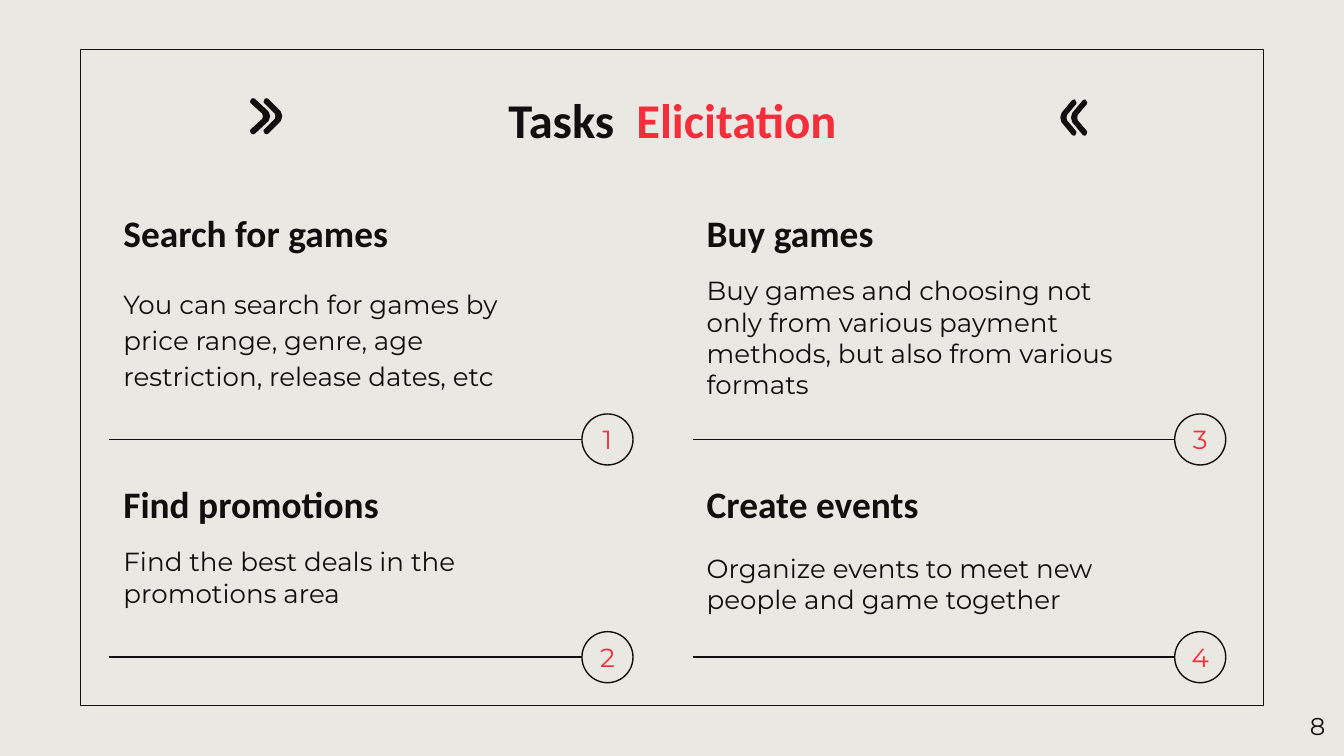
from pptx import Presentation
from pptx.dml.color import RGBColor as RGB
from pptx.enum.shapes import MSO_CONNECTOR as LINK, MSO_SHAPE as SHAPE
from pptx.enum.text import MSO_ANCHOR as ANCHOR, MSO_AUTO_SIZE as FIT, PP_ALIGN as ALIGN
from pptx.oxml.ns import qn
from pptx.util import Inches, Pt


class Theme:
    paper = RGB.from_string("E9E8E3")
    ink = RGB.from_string("100E0E")
    red = RGB.from_string("F52E3C")
    head = "Calibri"
    text = "Montserrat"
    title, sub, body, page = Pt(26), Pt(20), Pt(14), Pt(13)
    thin, thick = Pt(0.75), Pt(1.5)


def write(box, words, size, face, color=Theme.ink, bold=False,
          align=ALIGN.LEFT, anchor=ANCHOR.MIDDLE, space=1.0):
    frame = box.text_frame
    frame.word_wrap = True
    frame.auto_size = FIT.NONE
    frame.vertical_anchor = anchor
    frame.margin_left = frame.margin_right = Inches(0.1)
    frame.margin_top = frame.margin_bottom = Inches(0.1)
    para = frame.paragraphs[0]
    para.text = words
    para.alignment = align
    para.line_spacing = space
    font = para.font
    font.size, font.name, font.bold = size, face, bold
    font.color.rgb = color
    return para


def ink(shape, width=Theme.thin, fill=False):
    shape.shadow.inherit = False
    shape.line.color.rgb = Theme.ink
    shape.line.width = width
    if fill:
        shape.fill.solid()
        shape.fill.fore_color.rgb = Theme.ink
    else:
        shape.fill.background()


# Slide in 16:9
deck = Presentation()
deck.slide_width = Inches(10)
deck.slide_height = Inches(10 * 9 / 16)
slide = deck.slides.add_slide(deck.slide_layouts[5])
slide.background.fill.solid()
slide.background.fill.fore_color.rgb = Theme.paper
shapes = slide.shapes

# Frame
frame = shapes.add_shape(SHAPE.RECTANGLE, Inches(0.6), Inches(0.37), Inches(8.8), Inches(4.88))
ink(frame)

# Title in two colours
title = shapes.title
title.left, title.top = Inches(2.1), Inches(0.57)
title.width, title.height = Inches(5.81), Inches(0.63)
para = write(title, "Tasks  ", Theme.title, Theme.head, bold=True, align=ALIGN.CENTER)
run = para.add_run()
run.text = "Elicitation"
run.font.color.rgb = Theme.red

# Four tasks: number, column, row, heading, body, body box (top, width, height), spacing
tasks = [
    ("1", 0, 0, "Search for games",
     "You can search for games by price range, genre, age restriction, release dates, etc",
     (2.03, 3.17, 0.96), 1.15),
    ("2", 0, 1, "Find promotions",
     "Find the best deals in the promotions area",
     (4.03, 3.01, 0.53), 1.0),
    ("3", 1, 0, "Buy games",
     "Buy games and choosing not only from various payment methods, but also from various formats",
     (1.94, 3.52, 1.14), 1.0),
    ("4", 1, 1, "Create events",
     "Organize events to meet new people and game together",
     (3.99, 3.42, 0.7), 1.0),
]
lefts, starts, rings = (0.82, 5.16), (0.81, 5.16), (4.33, 8.74)
heads, rules = (1.44, 3.46), (3.27, 4.89)
ring = 0.38

for num, col, row, head, body, (top, wide, high), space in tasks:
    left, end, rule = lefts[col], rings[col], rules[row]

    # Heading and body
    box = shapes.add_textbox(Inches(left), Inches(heads[row]), Inches(3.77), Inches(0.58))
    write(box, head, Theme.sub, Theme.head, bold=True)
    box = shapes.add_textbox(Inches(left), Inches(top), Inches(wide), Inches(high))
    write(box, body, Theme.body, Theme.text, space=space)

    # Rule that ends in a numbered ring
    line = shapes.add_connector(LINK.STRAIGHT, Inches(starts[col]), Inches(rule),
                                Inches(end), Inches(rule))
    line.line.color.rgb = Theme.ink
    line.line.width = Theme.thin
    line._element.spPr.append(line._element.makeelement(qn("a:effectLst"), {}))
    disc = shapes.add_shape(SHAPE.OVAL, Inches(end), Inches(rule - ring / 2),
                            Inches(ring), Inches(ring))
    ink(disc)
    box = shapes.add_textbox(Inches(end - 0.08), Inches(rule - 0.13), Inches(0.54), Inches(0.26))
    write(box, num, Theme.body, Theme.text, Theme.red, align=ALIGN.CENTER)

# Double chevrons: outline as shares of width (back to tip) and height
outline = [(0.08, 1), (0, 0.93), (0.7, 0.6), (0.75, 0.5), (0.7, 0.4), (0, 0.07),
           (0.08, 0), (0.17, 0.02), (0.92, 0.38), (1, 0.5), (0.92, 0.62), (0.17, 0.98)]
for back, top, wide in [(1.97, 0.74, 0.12), (1.87, 0.74, 0.13),
                        (8.0, 0.75, -0.1), (8.08, 0.75, -0.1)]:
    points = [(Inches(back + x * wide), Inches(top + y * 0.25)) for x, y in outline]
    shape = shapes.build_freeform(*points[0])
    shape.add_line_segments(points[1:], close=True)
    ink(shape.convert_to_shape(), Theme.thick, fill=True)

# Page number
box = shapes.add_textbox(Inches(9.36), Inches(5.19), Inches(0.6), Inches(0.43))
write(box, "8", Theme.page, Theme.text, align=ALIGN.RIGHT, anchor=ANCHOR.TOP)

deck.save("out.pptx")
